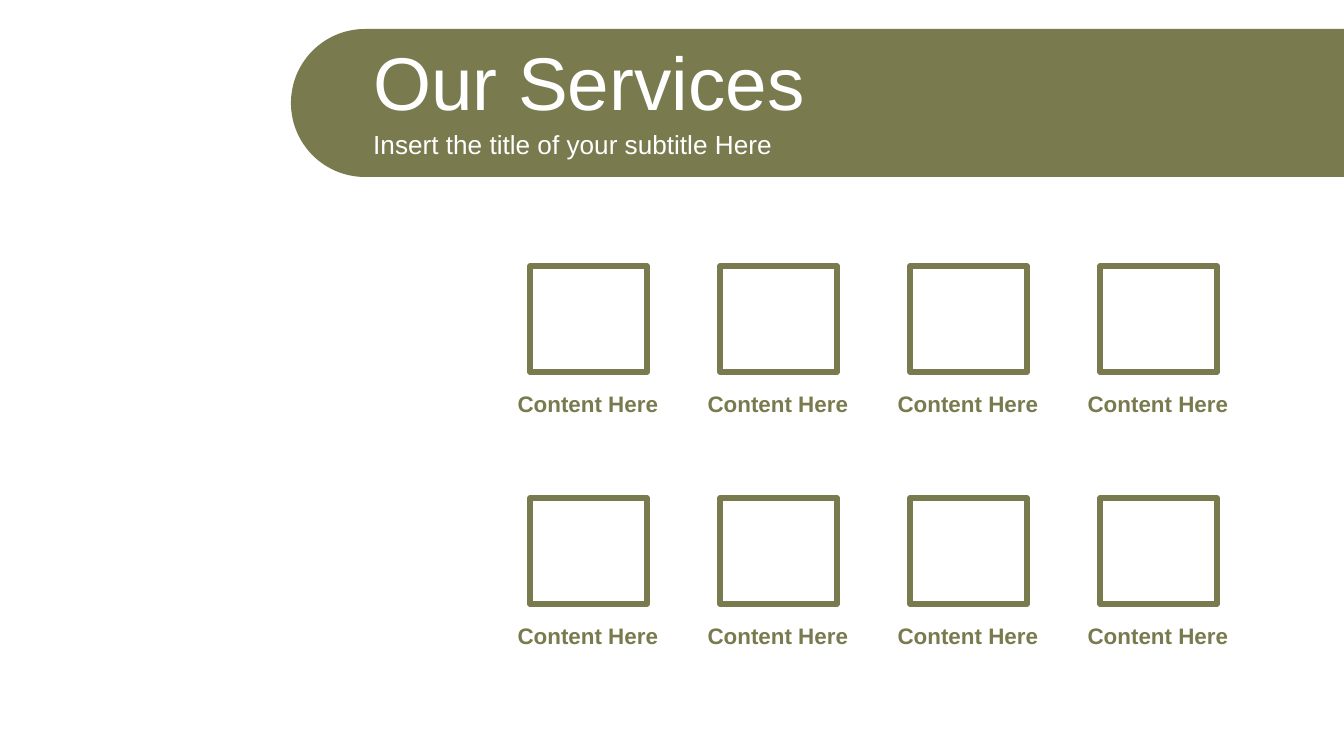
from dataclasses import dataclass
from math import cos, pi, sin

from lxml.etree import SubElement
from pptx import Presentation
from pptx.dml.color import RGBColor
from pptx.enum.shapes import MSO_SHAPE as Shape
from pptx.enum.text import MSO_ANCHOR as Anchor, PP_ALIGN as Align
from pptx.oxml.ns import qn
from pptx.util import Pt

EMU_PER_PX = 9144000 / 1344


def px(length):
    """Turn a length in px into EMU."""
    return round(length * EMU_PER_PX)


@dataclass(frozen=True)
class Theme:
    """Colours, font and type sizes of the deck."""
    olive: RGBColor = RGBColor(0x79, 0x7B, 0x4F)
    white: RGBColor = RGBColor(0xFF, 0xFF, 0xFF)
    font: str = "Arial"
    title: int = 40
    subtitle: int = 14
    label: int = 12
    outline: int = 3


class Painter:
    """Draw themed elements on the current slide."""

    def __init__(self, page, theme):
        """Keep the slide and its style."""
        self.page = page
        self.theme = theme

    def banner(self, left, top, right, height, steps=60):
        """Draw a band with a round left end."""
        radius = height / 2
        angles = [pi / 2 + pi * step / steps for step in range(steps + 1)]
        cap = [(px(left + radius + radius * cos(angle)),
                px(top + radius + radius * sin(angle))) for angle in angles]
        builder = self.page.shapes.build_freeform(px(right), px(top + height))
        builder.add_line_segments([*cap, (px(right), px(top))], close=True)
        band = builder.convert_to_shape()
        band.shadow.inherit = False
        band.fill.solid()
        band.fill.fore_color.rgb = self.theme.olive
        band.line.fill.background()

    def frame(self, left, top, width, height):
        """Draw an unfilled rectangle with round line joins."""
        box = self.page.shapes.add_shape(
            Shape.RECTANGLE, px(left), px(top), px(width), px(height))
        box.shadow.inherit = False
        box.fill.background()
        box.line.color.rgb = self.theme.olive
        box.line.width = Pt(self.theme.outline)
        SubElement(box.element.spPr.find(qn("a:ln")), qn("a:round"))

    def text(self, words, left, top, width, height, *, size, color,
             bold=False, align=Align.LEFT, anchor=Anchor.TOP):
        """Place one line of formatted text."""
        box = self.page.shapes.add_textbox(
            px(left), px(top), px(width), px(height))
        box.text_frame.word_wrap = True
        box.text_frame.vertical_anchor = anchor
        para = box.text_frame.paragraphs[0]
        para.alignment = align
        span = para.add_run()
        span.text = words
        span.font.name = self.theme.font
        span.font.size = Pt(size)
        span.font.bold = bold
        span.font.color.rgb = color


def main():
    """Build the services slide."""
    deck = Presentation()
    deck.slide_width, deck.slide_height = px(1344), px(756)
    theme = Theme()
    painter = Painter(deck.slides.add_slide(deck.slide_layouts[6]), theme)

    painter.banner(291, 29, 1344, 148)
    painter.text("Our Services", 360, 38, 984, 85, size=theme.title,
                 color=theme.white, anchor=Anchor.MIDDLE)
    painter.text("Insert the title of your subtitle Here", 360, 123, 984, 42,
                 size=theme.subtitle, color=theme.white, anchor=Anchor.MIDDLE)

    for row in range(2):
        for column in range(4):
            left, top = 530 + 190 * column, 266 + 232 * row
            painter.frame(left, top, 117, 106)
            painter.text("Content Here", left - 40, top + 118, 196, 40,
                         size=theme.label, color=theme.olive, bold=True,
                         align=Align.CENTER)

    deck.save("out.pptx")


if __name__ == "__main__":
    main()
